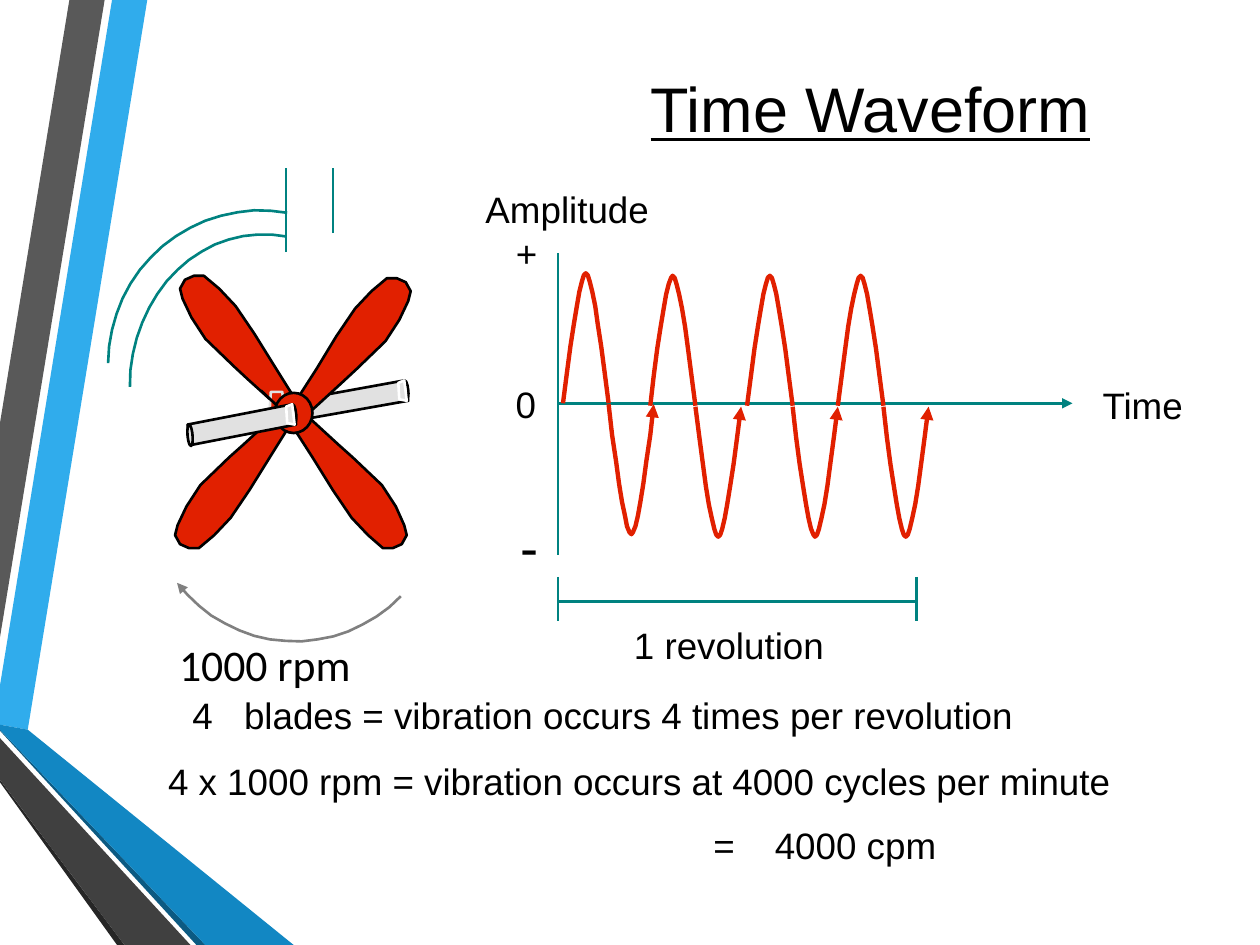
from math import cos, radians, sin

from pptx import Presentation
from pptx.dml.color import RGBColor
from pptx.enum.shapes import MSO_CONNECTOR, MSO_SHAPE
from pptx.enum.text import MSO_ANCHOR, PP_ALIGN
from pptx.oxml.ns import qn
from pptx.util import Cm, Pt
from lxml.etree import SubElement

COLORS = {
    "black": "000000", "white": "FFFFFF", "red": "E12000", "teal": "008280",
    "steel": "E1E1E1", "gray": "808080", "sky": "30ACEC", "slate": "595959",
    "ink": "262626", "navy": "0C5A82", "blue": "1287C3", "charcoal": "404040",
}

RIBBONS = [
    ("sky", [(0, 5.44), (0, 5.75), (0.22, 5.79), (1.17, 0), (0.89, 0)]),
    ("slate", [(0.83, 0), (0.55, 0), (0, 3.36), (0, 5.06)]),
    ("ink", [(0, 6.19), (0, 6.21), (0.93, 7.5), (0.99, 7.5)]),
    ("navy", [(0, 5.79), (0, 5.8), (1.56, 7.5), (1.63, 7.5)]),
    ("blue", [(0, 5.79), (1.63, 7.5), (2.33, 7.5), (0.22, 5.79), (0, 5.75)]),
    ("charcoal", [(0, 6.19), (0.99, 7.5), (1.51, 7.5), (0, 5.86)]),
]

BLADE = [
    (2.32, 3.13), (2.18, 2.91), (2.02, 2.65), (1.87, 2.43), (1.74, 2.29),
    (1.62, 2.19), (1.54, 2.19), (1.47, 2.22), (1.43, 2.29), (1.45, 2.37),
    (1.52, 2.52), (1.63, 2.69), (1.86, 2.91), (1.97, 3.01), (2.21, 3.23),
]
BLADE_MIRRORS = [(1, 0, 1, 0), (-1, 4.69, 1, 0.02), (-1, 4.66, -1, 6.54), (1, -0.04, -1, 6.54)]
KEY = [(2.15, 3.11), (2.14, 3.24), (2.26, 3.25), (2.24, 3.11)]

BACK_SHAFT = (2.32, 3.02, 0.89)
FRONT_SHAFT = (1.49, 3.21, 0.83)

SHROUD_ARCS = [(2.07, 2.88, 1.21, 1.21), (2.09, 3.07, 1.06, 1.21)]
ROTATION_ARC = (2.34, 3.92, 1.17, 1.17)

WAVES = [(4.47, 2.17), (5.16, 2.19), (5.93, 2.19), (6.65, 2.19)]
HALF_WAVE, WAVE_HEIGHT, TROUGH_BOTTOM = 0.36, 1.03, 2.07

RULES = [
    ((4.43, 2.01), (4.43, 4.4)),
    ((4.43, 4.77), (7.27, 4.77)),
    ((4.43, 4.58), (4.43, 4.93)),
    ((7.27, 4.58), (7.27, 4.93)),
    ((2.27, 2), (2.27, 1.33)),
    ((2.64, 1.85), (2.64, 1.33)),
]
TIME_AXIS = ((4.43, 3.2), (8.51, 3.2))

LABELS = [
    ("Time Waveform", 4.95, 0.55, 3.92, 0.58, 36),
    ("Amplitude", 3.79, 1.48, 1.42, 0.34, 21),
    ("+", 4.08, 1.83, 0.2, 0.34, 21),
    ("0", 4.08, 3.03, 0.19, 0.34, 21),
    ("-", 4.12, 4.07, 0.17, 0.5, 31),
    ("Time", 8.71, 3.04, 0.72, 0.34, 21),
    ("1 revolution", 4.96, 4.94, 1.65, 0.34, 21),
    ("4 x 1000 rpm = vibration occurs at 4000 cycles per minute", 0.61, 6.02, 8.93, 0.34, 21),
]
TABBED_LABELS = [
    ("4\tblades = vibration occurs 4 times per revolution", 0.58, 5.5, 8.4, 0.95, 0.41),
    ("=\t4000 cpm", 5.57, 6.53, 1.94, 0.09, 0.49),
]


def inch(value):
    return Cm(round(value * 2.54, 2))


def color(name):
    return RGBColor.from_string(COLORS[name])


def style(shape, fill, line, width=1.5):
    shape.shadow.inherit = False
    if fill:
        shape.fill.solid()
        shape.fill.fore_color.rgb = color(fill)
    else:
        shape.fill.background()
    if line:
        shape.line.color.rgb = color(line)
        shape.line.width = Pt(width)
    else:
        shape.line.fill.background()
    return shape


def add_arrowhead(shape, end):
    outline = shape.element.spPr.find(qn("a:ln"))
    SubElement(outline, qn(f"a:{end}"), type="triangle")


def add_outline(slide, points, fill=None, line=None, width=1.5, arrow=False):
    corners = [(inch(x), inch(y)) for x, y in points]
    builder = slide.shapes.build_freeform(*corners[0])
    builder.add_line_segments(corners[1:], close=bool(fill))
    shape = style(builder.convert_to_shape(), fill, line, width)
    if arrow:
        add_arrowhead(shape, "headEnd")


def add_ellipse(slide, left, top, width, height, fill, rotation=0):
    box = [inch(value) for value in (left, top, width, height)]
    shape = slide.shapes.add_shape(MSO_SHAPE.OVAL, *box)
    shape.rotation = rotation
    style(shape, fill, "black")


def add_rule(slide, start, end, line="teal"):
    ends = [inch(value) for value in (*start, *end)]
    connector = slide.shapes.add_connector(MSO_CONNECTOR.STRAIGHT, *ends)
    connector.line.color.rgb = color(line)
    connector.line.width = Pt(1.5)
    SubElement(connector.element.spPr, qn("a:effectLst"))
    return connector


def add_label(slide, text, left, top, width, height, size, font="Arial", align=PP_ALIGN.CENTER):
    box = [inch(value) for value in (left, top, width, height)]
    frame = slide.shapes.add_textbox(*box).text_frame
    frame.margin_left = frame.margin_right = frame.margin_top = frame.margin_bottom = 0
    frame.word_wrap = True
    frame.text = text
    paragraph = frame.paragraphs[0]
    paragraph.alignment = align
    for run in paragraph.runs:
        run.font.name = font
        run.font.size = Pt(size)
        run.font.color.rgb = color("black")
    return frame


def add_tabbed_label(slide, text, left, top, width, inset, stop):
    frame = add_label(slide, text, left, top, width, 0.34, 21, align=PP_ALIGN.LEFT)
    frame.margin_left = inch(inset)
    properties = frame.paragraphs[0]._p.get_or_add_pPr()
    tabs = SubElement(properties, qn("a:tabLst"))
    SubElement(tabs, qn("a:tab"), pos=str(inch(stop)), algn="l")


def arc_points(center_x, center_y, radius_x, radius_y, start, end, steps=16):
    angles = [radians(start + (end - start) * step / steps) for step in range(steps + 1)]
    return [(center_x + radius_x * cos(a), center_y + radius_y * sin(a)) for a in angles]


def crest_points(left, top, steps=8):
    half = HALF_WAVE / 2
    times = [step / steps for step in range(steps + 1)]
    rise = [(0.78 * t * (1 - t) * half + 1.0 * t * half * (0.61 + 0.39 * t),
             top + WAVE_HEIGHT * (1 - t) ** 2) for t in times]
    fall = [(HALF_WAVE - x, y) for x, y in reversed(rise[:-1])]
    return [(left + x, y) for x, y in rise + fall]


def add_wave(slide, left, top):
    crest = crest_points(left, top)
    trough = [(x + HALF_WAVE, 2 * top + TROUGH_BOTTOM - y) for x, y in reversed(crest)]
    add_outline(slide, crest, line="red", width=2.5)
    add_outline(slide, trough, line="red", width=2.5, arrow=True)


def add_shaft(slide, left, top, length):
    right = left + length
    body = [(right, top), (left, top + 0.16), (left + 0.03, top + 0.32), (right + 0.03, top + 0.16)]
    cap = [(right, top), (right - 0.05, top + 0.02), (right - 0.04, top + 0.15), (right + 0.02, top + 0.16)]
    add_outline(slide, body, "steel", "black")
    add_ellipse(slide, left, top + 0.16, 0.04, 0.17, "steel", 175)
    add_ellipse(slide, right - 0.01, top, 0.04, 0.16, "steel", 175)
    add_outline(slide, cap, "steel", "white")


def add_propeller(slide):
    add_shaft(slide, *BACK_SHAFT)
    for scale_x, shift_x, scale_y, shift_y in BLADE_MIRRORS:
        blade = [(scale_x * x + shift_x, scale_y * y + shift_y) for x, y in BLADE]
        add_outline(slide, blade, "red", "black")
    add_outline(slide, KEY, "red", "steel")
    add_rule(slide, (2.07, 3.1), (2.22, 3.24), "black")
    add_ellipse(slide, 2.18, 3.12, 0.3, 0.32, "red")
    add_shaft(slide, *FRONT_SHAFT)
    for arc in SHROUD_ARCS:
        add_outline(slide, arc_points(*arc, -80, -180), line="teal")
    add_outline(slide, arc_points(*ROTATION_ARC, 143, 44), line="gray", arrow=True)


def main():
    presentation = Presentation()
    presentation.slide_width, presentation.slide_height = Cm(25.4), Cm(19.05)
    slide = presentation.slides.add_slide(presentation.slide_layouts[6])
    for fill, points in RIBBONS:
        add_outline(slide, points, fill)
    add_propeller(slide)
    add_arrowhead(add_rule(slide, *TIME_AXIS), "tailEnd")
    for start, end in RULES:
        add_rule(slide, start, end)
    for wave in WAVES:
        add_wave(slide, *wave)
    frames = [add_label(slide, *label) for label in LABELS]
    frames[0].paragraphs[0].runs[0].font.underline = True
    for label in TABBED_LABELS:
        add_tabbed_label(slide, *label)
    speed = add_label(slide, "1000 rpm", 1.42, 4.96, 2.1, 0.62, 25, "Calibri", PP_ALIGN.LEFT)
    speed.vertical_anchor = MSO_ANCHOR.MIDDLE
    speed.paragraphs[0].space_after = Pt(6)
    presentation.save("out.pptx")


if __name__ == "__main__":
    main()
